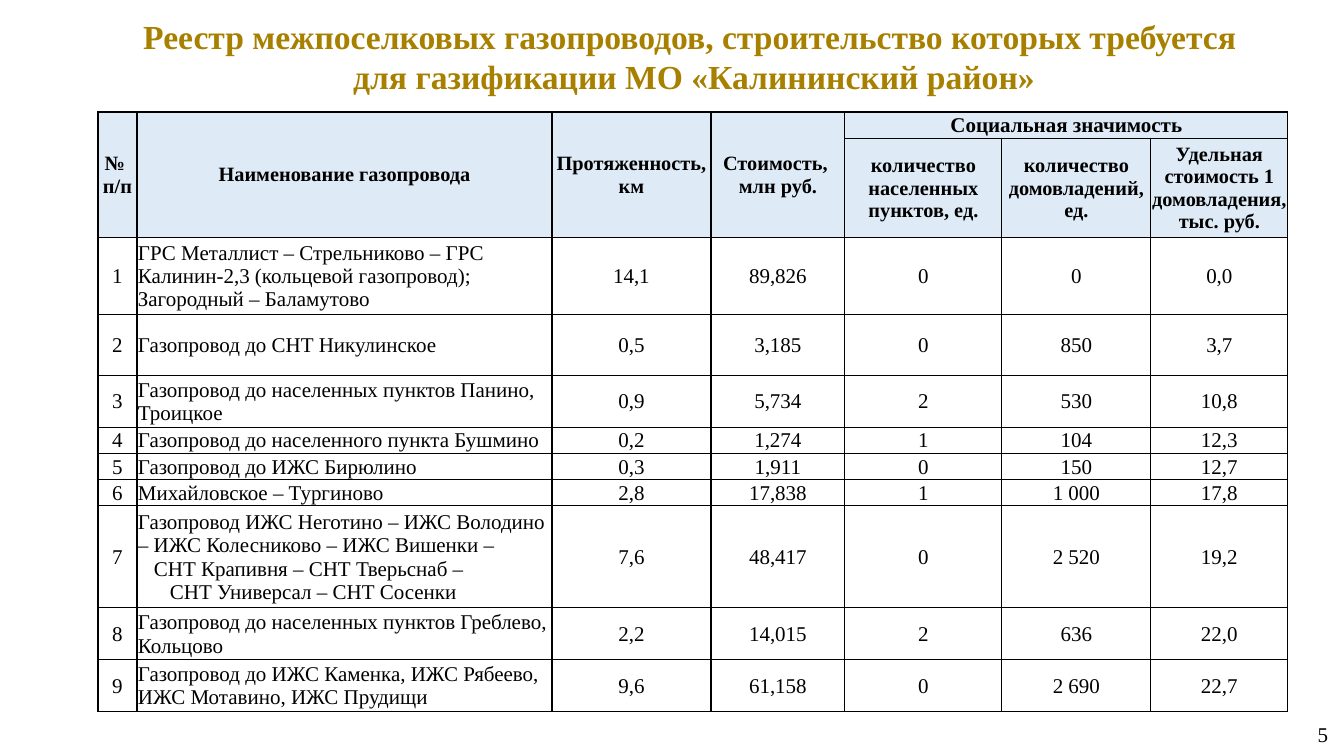
from lxml.etree import SubElement as SubEl
from pptx import Presentation
from pptx.dml.color import RGBColor as RGB
from pptx.enum.text import MSO_ANCHOR as Anchor, MSO_AUTO_SIZE as Fit, PP_ALIGN as Align
from pptx.oxml.ns import qn
from pptx.util import Pt

GOLD = RGB(0xA8, 0x80, 0x00)
BLACK = RGB(0x00, 0x00, 0x00)
PALE = RGB(0xDE, 0xEB, 0xF7)
SCALE = 914400 / 100.8

COLS = [39, 415, 159, 134, 157, 149, 137]
ROWS = [26, 99, 77, 61, 52, 26, 26, 26, 102, 52, 51]
INDENT = 16  # step of the left indent in px

# (row, column, last row, last column, text, size)
HEADS = [
    (0, 0, 1, 0, "№ \nп/п", 14.5),
    (0, 1, 1, 1, "Наименование газопровода", 14.5),
    (0, 2, 1, 2, "Протяженность, км", 14.5),
    (0, 3, 1, 3, "Стоимость, \nмлн руб.", 14.5),
    (0, 4, 0, 6, "Социальная значимость", 15),
    (1, 4, 1, 4, "количество населенных пунктов, ед.", 14.5),
    (1, 5, 1, 5, "количество\nдомовладений, ед.", 14.5),
    (1, 6, 1, 6, "Удельная стоимость 1 домовладения, тыс. руб.", 14.5),
]
PIPES = [
    ("ГРС Металлист – Стрельниково – ГРС Калинин-2,3 (кольцевой газопровод); "
     "Загородный – Баламутово", "14,1", "89,826", "0", "0", "0,0"),
    ("Газопровод до СНТ Никулинское", "0,5", "3,185", "0", "850", "3,7"),
    ("Газопровод до населенных пунктов Панино, Троицкое",
     "0,9", "5,734", "2", "530", "10,8"),
    ("Газопровод до населенного пункта Бушмино",
     "0,2", "1,274", "1", "104", "12,3"),
    ("Газопровод до ИЖС Бирюлино", "0,3", "1,911", "0", "150", "12,7"),
    ("Михайловское – Тургиново", "2,8", "17,838", "1", "1 000", "17,8"),
    ("Газопровод ИЖС Неготино – ИЖС Володино – ИЖС Колесниково – ИЖС Вишенки –\n"
     "СНТ Крапивня – СНТ Тверьснаб –\n"
     "СНТ Универсал – СНТ Сосенки", "7,6", "48,417", "0", "2 520", "19,2"),
    ("Газопровод до населенных пунктов Греблево, Кольцово",
     "2,2", "14,015", "2", "636", "22,0"),
    ("Газопровод до ИЖС Каменка, ИЖС Рябеево, ИЖС Мотавино, ИЖС Прудищи",
     "9,6", "61,158", "0", "2 690", "22,7"),
]


def px(n):
    return round(n * SCALE)


class Page:
    """Holds the slide and its text style."""

    font = "Times New Roman"

    def __init__(self, deck):
        self.slide = deck.slides.add_slide(deck.slide_layouts[5])

    def label(self, frame, text, size, color=BLACK, bold=False, align=Align.CENTER):
        frame.text = text
        frame.word_wrap = True
        for para in frame.paragraphs:
            para.alignment = align
            for run in para.runs:
                font = run.font
                font.name, font.size, font.bold = self.font, Pt(size), bold
                font.color.rgb = color

    def title(self, text, x, y, w, h):
        shape = self.slide.shapes.title
        shape.left, shape.top, shape.width, shape.height = map(px, (x, y, w, h))
        frame = shape.text_frame
        self.label(frame, text, 24, GOLD, True)
        frame.auto_size = Fit.NONE
        frame.vertical_anchor = Anchor.TOP
        for para in frame.paragraphs:
            para.line_spacing = 1.0
            para.space_before = Pt(0)

    def number(self, text, x, y, w, h):
        box = self.slide.shapes.add_textbox(*map(px, (x, y, w, h)))
        self.label(box.text_frame, text, 15, align=Align.RIGHT)
        box.text_frame.vertical_anchor = Anchor.MIDDLE

    def table(self, x, y, cols, rows):
        area = map(px, (x, y, sum(cols), sum(rows)))
        table = self.slide.shapes.add_table(len(rows), len(cols), *area).table
        table.first_row = table.horz_banding = False
        for col, w in zip(table.columns, cols):
            col.width = px(w)
        for row, h in zip(table.rows, rows):
            row.height = px(h)
        for cell in table.iter_cells():
            self.border(cell)
            cell.fill.background()
            cell.margin_left = cell.margin_right = cell.margin_top = px(1)
            cell.margin_bottom = 0
            cell.vertical_anchor = Anchor.MIDDLE
        return table

    def border(self, cell):
        props = cell._tc.get_or_add_tcPr()
        for side in "LRTB":
            line = SubEl(props, qn(f"a:ln{side}"), w=str(Pt(1)))
            fill = SubEl(line, qn("a:solidFill"))
            SubEl(fill, qn("a:srgbClr"), val=str(BLACK))

    def head(self, table, row, col, end, last, text, size):
        cell = table.cell(row, col)
        if (row, col) != (end, last):
            cell.merge(table.cell(end, last))
        cell.fill.solid()
        cell.fill.fore_color.rgb = PALE
        self.label(cell.text_frame, text, size, bold=True)

    def pipe(self, table, row, texts):
        for col, text in enumerate(texts):
            align = Align.LEFT if col == 1 else Align.CENTER
            frame = table.cell(row, col).text_frame
            self.label(frame, text, 15, align=align)
            for step, para in enumerate(frame.paragraphs):
                if step:
                    para._p.get_or_add_pPr().set("marL", str(px(step * INDENT)))


def main():
    deck = Presentation()
    deck.slide_width, deck.slide_height = px(1344), px(756)
    page = Page(deck)
    page.number("5", 1065, 704, 273, 61)
    page.title("Реестр межпоселковых газопроводов, строительство которых требуется \n"
               "для газификации МО «Калининский район»", 101, 11, 1186, 92)
    table = page.table(98, 112, COLS, ROWS)
    for head in HEADS:
        page.head(table, *head)
    for num, pipe in enumerate(PIPES, 1):
        page.pipe(table, num + 1, (str(num), *pipe))
    deck.save("out.pptx")


if __name__ == "__main__":
    main()
